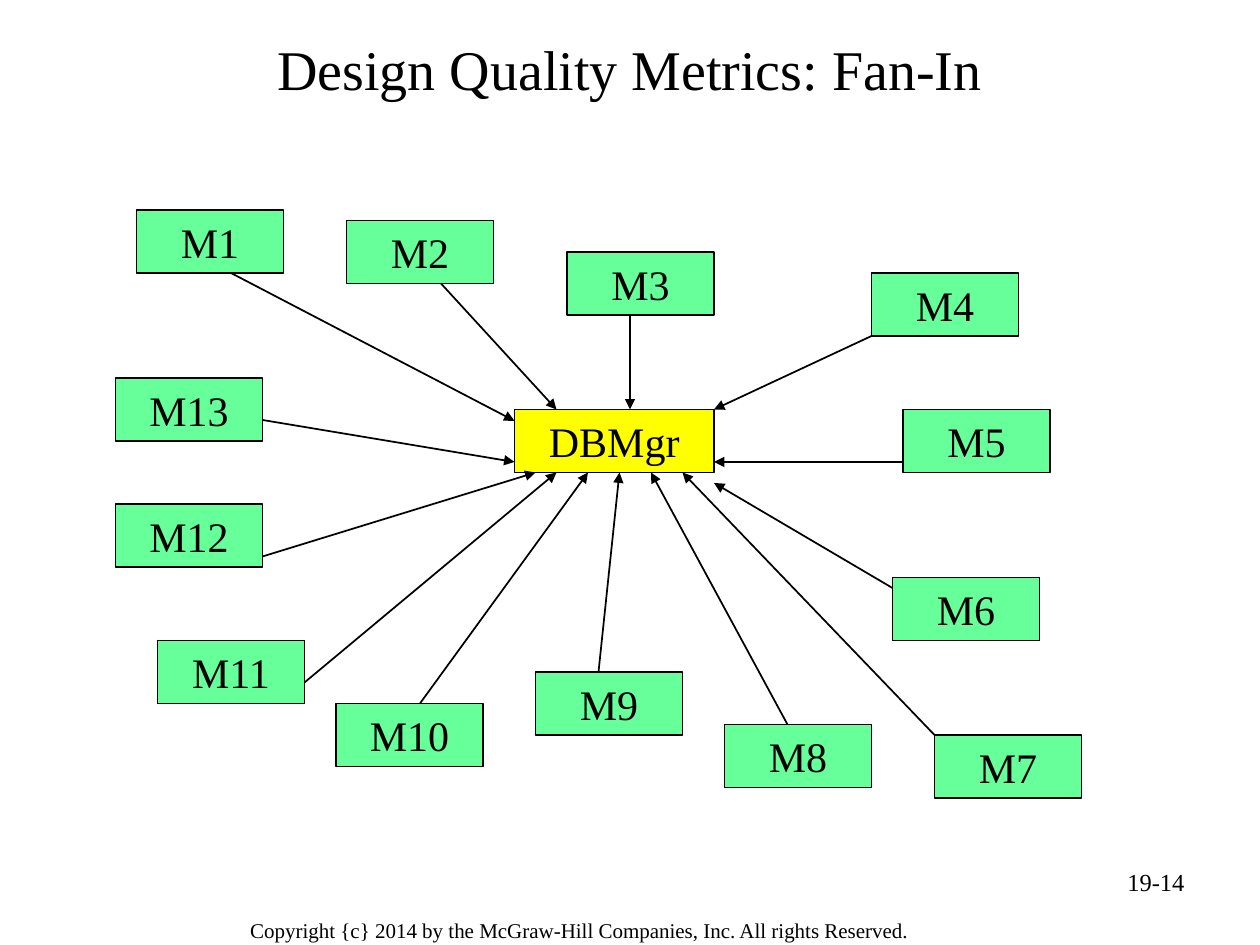
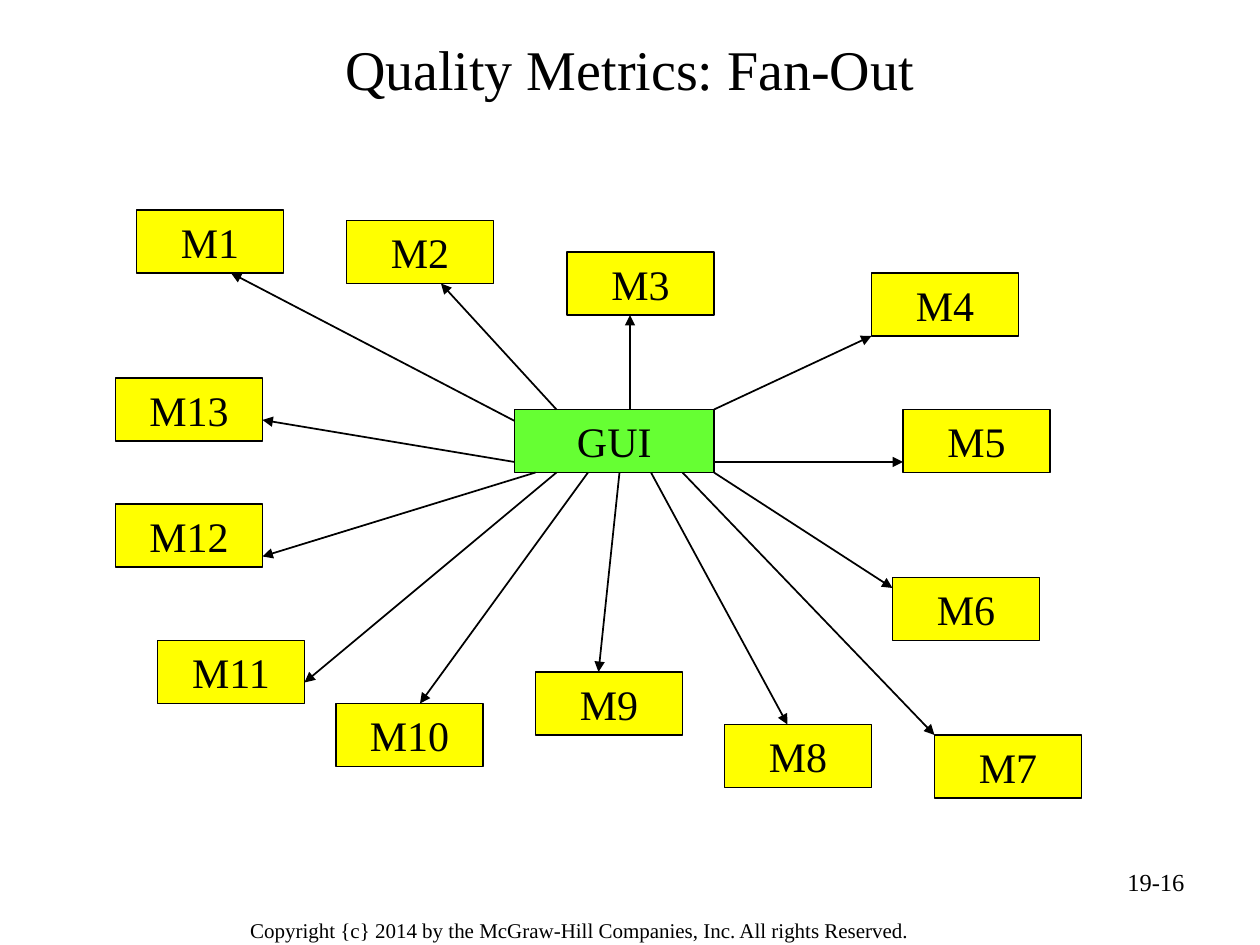
from dataclasses import dataclass

import pptx
import pptx.dml.color
import pptx.enum.shapes
import pptx.enum.text
import pptx.oxml
import pptx.oxml.ns
import pptx.util
from lxml import etree

Pt = pptx.util.Pt
RGB = pptx.dml.color.RGBColor
Align = pptx.enum.text.PP_ALIGN
Anchor = pptx.enum.text.MSO_ANCHOR


@dataclass(frozen=True)
class Theme:
    """Colours, type and line sizes of the deck."""
    font: str = "Times New Roman"
    ink: RGB = RGB(0x00, 0x00, 0x00)
    yellow: RGB = RGB(0xFF, 0xFF, 0x00)
    mint: RGB = RGB(0x66, 0xFF, 0x99)
    green: RGB = RGB(0x66, 0xFF, 0x33)
    title_size: int = 32
    module_size: int = 24
    number_size: int = 14
    copyright_size: int = 12
    line_width: int = 1


THEME = Theme()
TITLE_ONLY = 5
COPYRIGHT = "Copyright {c} 2014 by the McGraw-Hill Companies, Inc. All rights Reserved."
HUB_BOX = (294, 234, 114, 36)
MODULE_SIZE = (84, 36)
MODULES = {
    "M1": (78, 120),
    "M2": (198, 126),
    "M3": (324, 144),
    "M4": (498, 156),
    "M5": (516, 234),
    "M6": (510, 330),
    "M7": (534, 420),
    "M8": (414, 414),
    "M9": (306, 384),
    "M10": (192, 402),
    "M11": (90, 366),
    "M12": (66, 288),
    "M13": (66, 216),
}
LINKS = {
    "M1": ((132, 156), (294, 240.5)),
    "M2": ((252, 162), (318, 234)),
    "M3": ((360, 180), (360, 234)),
    "M4": ((498, 192), (408, 234)),
    "M5": ((516, 264), (408, 264)),
    "M6": ((510, 336), (408, 270)),
    "M7": ((534, 420), (390, 270)),
    "M8": ((450, 414), (372, 270)),
    "M9": ((342, 384), (354, 270)),
    "M10": ((240, 402), (336, 270)),
    "M11": ((174, 390), (318, 270)),
    "M12": ((150, 318), (306, 270)),
    "M13": ((150, 240), (294, 264)),
}


def points(*lengths):
    """Return the lengths as point measures."""
    return [Pt(length) for length in lengths]


def write(shape, text, size, align, anchor=Anchor.TOP, insets=(7.2, 3.6)):
    """Set one paragraph of text in a shape."""
    frame = shape.text_frame
    frame.word_wrap = True
    frame.auto_size = pptx.enum.text.MSO_AUTO_SIZE.NONE
    frame.vertical_anchor = anchor
    frame.margin_left = frame.margin_right = Pt(insets[0])
    frame.margin_top = frame.margin_bottom = Pt(insets[1])
    paragraph = frame.paragraphs[0]
    paragraph.text = text
    paragraph.alignment = align
    paragraph.font.name = THEME.font
    paragraph.font.size = Pt(size)
    paragraph.font.color.rgb = THEME.ink


def share_copyright(slide):
    """Place the copyright line on the layout that the slide uses."""
    notice = slide.shapes.add_textbox(*points(135, 520, 446, 22))
    write(notice, COPYRIGHT, THEME.copyright_size, Align.LEFT, insets=(8, 4.5))
    slide.slide_layout.shapes.element.append(notice.element)


def add_titled_slide(deck, title, number):
    """Add a slide with its title and page number."""
    slide = deck.slides.add_slide(deck.slide_layouts[TITLE_ONLY])
    heading = slide.shapes.title
    heading.left, heading.top, heading.width, heading.height = points(36, 12, 648, 54)
    write(heading, title, THEME.title_size, Align.CENTER, Anchor.MIDDLE)
    page = slide.shapes.add_textbox(*points(516, 492, 168, 37.5))
    write(page, number, THEME.number_size, Align.RIGHT)
    return slide


def add_module(slide, name, box, fill):
    """Add a named, outlined module rectangle."""
    module = slide.shapes.add_shape(
        pptx.enum.shapes.MSO_SHAPE.RECTANGLE, *points(*box))
    module.shadow.inherit = False
    module.fill.solid()
    module.fill.fore_color.rgb = fill
    module.line.color.rgb = THEME.ink
    module.line.width = Pt(THEME.line_width)
    write(module, name, THEME.module_size, Align.CENTER)


def add_call(slide, start, end, arrow_end):
    """Add a call line with a triangle at its headEnd or tailEnd."""
    call = slide.shapes.add_connector(
        pptx.enum.shapes.MSO_CONNECTOR.STRAIGHT, *points(*start, *end))
    call.line.color.rgb = THEME.ink
    call.line.width = Pt(THEME.line_width)
    qn = pptx.oxml.ns.qn
    etree.SubElement(call.get_or_add_ln(), qn(f"a:{arrow_end}"), type="triangle")
    etree.SubElement(call.element.spPr, qn("a:effectLst"))


def add_fan(slide, hub, hub_fill, module_fill, arrow_end, links):
    """Draw the hub, the modules around it and the calls between them."""
    add_module(slide, hub, HUB_BOX, hub_fill)
    for name, corner in MODULES.items():
        add_module(slide, name, corner + MODULE_SIZE, module_fill)
    for start, end in links.values():
        add_call(slide, start, end, arrow_end)


def main():
    """Build the fan-in and fan-out slides."""
    deck = pptx.Presentation()
    deck.slide_width, deck.slide_height = points(720, 540)

    fan_in = add_titled_slide(deck, "Design Quality Metrics: Fan-In", "19-14")
    share_copyright(fan_in)
    fan_in_links = LINKS | {"M6": ((510, 336), (408, 276))}
    add_fan(fan_in, "DBMgr", THEME.yellow, THEME.mint, "tailEnd", fan_in_links)

    fan_out = add_titled_slide(deck, "Quality Metrics: Fan-Out", "19-16")
    add_fan(fan_out, "GUI", THEME.green, THEME.yellow, "headEnd", LINKS)

    deck.save("out.pptx")


if __name__ == "__main__":
    main()
